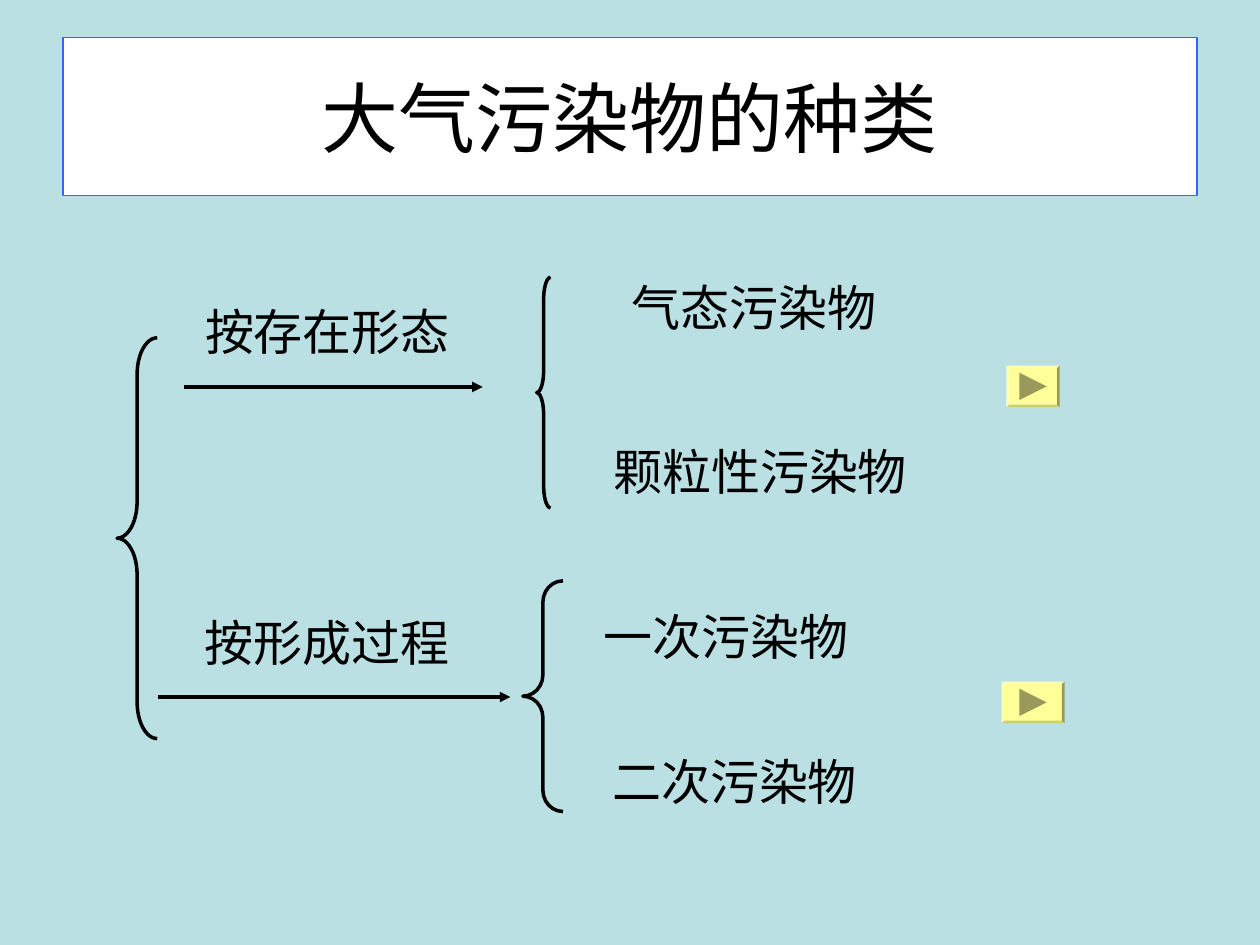
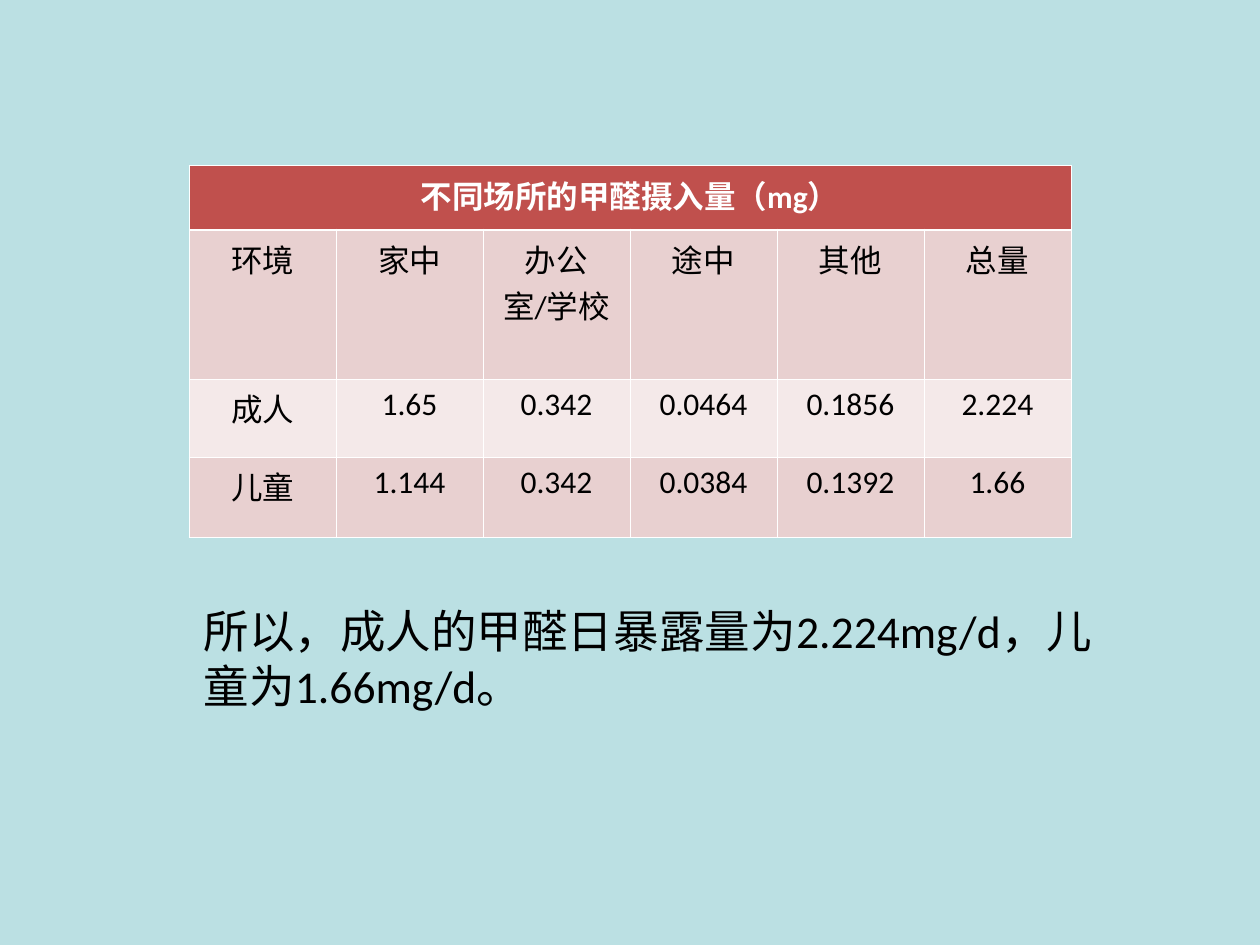
from typing import NamedTuple

import pptx
import pptx.dml.color
import pptx.enum.shapes
import pptx.enum.text
import pptx.oxml
import pptx.oxml.ns
import pptx.util
from pptx.util import Cm, Pt

Shape = pptx.enum.shapes.MSO_SHAPE
Align = pptx.enum.text.PP_ALIGN
Anchor = pptx.enum.text.MSO_ANCHOR

# Shared look
COLORS = {
    "back": "BBE0E3", "ink": "000000", "white": "FFFFFF", "frame": "3366FF",
    "button": "FFFF99", "sign": "99995C",
    "head": "C0504D", "dark": "E8D0D0", "light": "F4E9E9",
}
HAN, LATIN = "Noto Sans CJK SC", "Calibri"
NS = 'xmlns:a="http://schemas.openxmlformats.org/drawingml/2006/main"'


class Brace(NamedTuple):
    left: float
    top: float
    width: float
    height: float
    curve: float


class Arrow(NamedTuple):
    start: float
    end: float
    y: float


class Label(NamedTuple):
    text: str
    left: float
    top: float
    width: float
    height: float


class Button(NamedTuple):
    left: float
    top: float
    width: float


# Slide 1: lengths in centimetres
BRACES = [
    Brace(2.36, 6.81, 0.81, 8.08, 0.91),
    Brace(10.82, 5.59, 0.28, 4.65, 1.55),
    Brace(10.54, 11.71, 0.81, 4.65, 0.53),
]
ARROWS = [Arrow(3.71, 9.73, 7.8), Arrow(3.18, 10.29, 14.05)]
LABELS = [
    Label("按存在形态", 3.45, 6.07, 6.3, 1.22),
    Label("气态污染物", 12.19, 5.33, 6.02, 1.73),
    Label("颗粒性污染物", 11.91, 8.76, 6.83, 1.47),
    Label("按形成过程", 3.58, 12.34, 6.02, 1.22),
    Label("一次污染物", 11.91, 12.22, 5.46, 1.22),
    Label("二次污染物", 11.66, 15.14, 6.3, 1.22),
]
BUTTONS = [Button(20.29, 7.37, 1.07), Button(20.19, 13.74, 1.27)]
DEPTH, SIGN = 0.84, 0.55

# Slide 2
HEADING = "不同场所的甲醛摄入量（mg）"
ROWS = [
    ["环境", "家中", "办公室/学校", "途中", "其他", "总量"],
    ["成人", "1.65", "0.342", "0.0464", "0.1856", "2.224"],
    ["儿童", "1.144", "0.342", "0.0384", "0.1392", "1.66"],
]
HEIGHTS = [1.3, 2.24, 1.57, 1.63]
FILLS = ["head", "dark", "light", "dark"]
RESULT = "所以，成人的甲醛日暴露量为2.224mg/d，儿童为1.66mg/d。"


def color(name: str) -> pptx.dml.color.RGBColor:
    return pptx.dml.color.RGBColor.from_string(COLORS[name])


def paint(fill, name: str) -> None:
    fill.solid()
    fill.fore_color.rgb = color(name)


def write(frame, text: str, size: float, latin: str = HAN, asian: str = HAN,
          tint: str = "ink", bold: bool = False, align=Align.CENTER) -> None:
    frame.text = text
    for para in frame.paragraphs:
        para.alignment = align
        for run in para.runs:
            font = run.font
            font.size, font.bold, font.name = Pt(size), bold, latin
            font.color.rgb = color(tint)
            font._element.append(
                pptx.oxml.parse_xml(f'<a:ea {NS} typeface="{asian}"/>'))


def add_solid(slide, kind, left: float, top: float, width: float,
              height: float, tint: str):
    shape = slide.shapes.add_shape(
        kind, Cm(left), Cm(top), Cm(width), Cm(height))
    shape.shadow.inherit = False
    paint(shape.fill, tint)
    shape.line.fill.background()
    return shape


def add_brace(slide, item: Brace) -> None:
    shape = add_solid(slide, Shape.LEFT_BRACE, *item[:4], "ink")
    shape.adjustments[0] = item.curve
    shape.fill.background()
    paint(shape.line.fill, "ink")
    shape.line.width = Pt(2)


def add_arrow(slide, item: Arrow) -> None:
    line = slide.shapes.add_connector(
        pptx.enum.shapes.MSO_CONNECTOR.STRAIGHT,
        Cm(item.start), Cm(item.y), Cm(item.end), Cm(item.y))
    line.line.width = Pt(2)
    paint(line.line.fill, "ink")
    line.line._get_or_add_ln().append(
        pptx.oxml.parse_xml(f'<a:tailEnd {NS} type="triangle"/>'))
    line._element.spPr.append(pptx.oxml.parse_xml(f"<a:effectLst {NS}/>"))


def add_box(slide, left: float, top: float, width: float, height: float):
    box = slide.shapes.add_textbox(
        Cm(left), Cm(top), Cm(width), Cm(height))
    return box.text_frame


def add_label(slide, item: Label) -> None:
    frame = add_box(slide, *item[1:])
    frame.word_wrap = False
    frame.vertical_anchor = Anchor.MIDDLE
    write(frame, item.text, 28)


def add_button(slide, item: Button) -> None:
    plate = add_solid(slide, Shape.BEVEL, *item, DEPTH, "button")
    plate.adjustments[0] = 0.06
    left = item.left + (item.width - SIGN) / 2
    top = item.top + (DEPTH - SIGN) / 2
    sign = add_solid(slide, Shape.ISOSCELES_TRIANGLE,
                     left, top, SIGN, SIGN, "sign")
    sign.rotation = 90


def add_border(cell, side: str, width: float) -> None:
    props = cell._tc.get_or_add_tcPr()
    spot = len(props.findall(pptx.oxml.ns.qn("a:ln" + "L")) +
               props.findall(pptx.oxml.ns.qn("a:ln" + "R")) +
               props.findall(pptx.oxml.ns.qn("a:ln" + "T")))
    props.insert(spot, pptx.oxml.parse_xml(
        f'<a:ln{side} {NS} w="{Pt(width)}"><a:solidFill>'
        f'<a:srgbClr val="{COLORS["white"]}"/></a:solidFill></a:ln{side}>'))


def add_table(slide) -> None:
    count = len(ROWS[0])
    table = slide.shapes.add_table(
        len(HEIGHTS), count, Cm(3.81), Cm(3.33), Cm(17.78),
        Cm(sum(HEIGHTS))).table
    for row, height in zip(table.rows, HEIGHTS):
        row.height = Cm(height)
    table.cell(0, 0).merge(table.cell(0, count - 1))
    write(table.cell(0, 0).text_frame, HEADING, 18, LATIN,
          tint="white", bold=True)
    for r, fill in enumerate(FILLS):
        for c in range(count):
            cell = table.cell(r, c)
            paint(cell.fill, fill)
            if r:
                write(cell.text_frame, ROWS[r - 1][c], 18, LATIN)
            for side in "LRTB":
                thick = (r, side) in [(0, "B"), (1, "T")]
                add_border(cell, side, 1.47 if thick else 0.45)


def draw_kinds(deck) -> None:
    slide = deck.slides.add_slide(deck.slide_layouts[5])
    title = slide.shapes.title
    title.left, title.top = Cm(1.27), Cm(0.76)
    title.width, title.height = Cm(22.86), Cm(3.18)
    paint(title.fill, "white")
    paint(title.line.fill, "frame")
    title.line.width = Pt(0.75)
    title.text_frame.vertical_anchor = Anchor.MIDDLE
    write(title.text_frame, "大气污染物的种类", 44)
    for brace in BRACES:
        add_brace(slide, brace)
    for arrow in ARROWS:
        add_arrow(slide, arrow)
    for label in LABELS:
        add_label(slide, label)
    for button in BUTTONS:
        add_button(slide, button)


def draw_intake(deck) -> None:
    slide = deck.slides.add_slide(deck.slide_layouts[6])
    add_table(slide)
    frame = add_box(slide, 3.86, 12.04, 18.64, 2.46)
    frame.word_wrap = True
    frame.auto_size = pptx.enum.text.MSO_AUTO_SIZE.SHAPE_TO_FIT_TEXT
    write(frame, RESULT, 26, LATIN, LATIN, align=Align.LEFT)


def main() -> None:
    deck = pptx.Presentation()
    deck.slide_width, deck.slide_height = Cm(25.4), Cm(19.05)
    paint(deck.slide_master.background.fill, "back")
    draw_kinds(deck)
    draw_intake(deck)
    deck.save("out.pptx")


if __name__ == "__main__":
    main()
